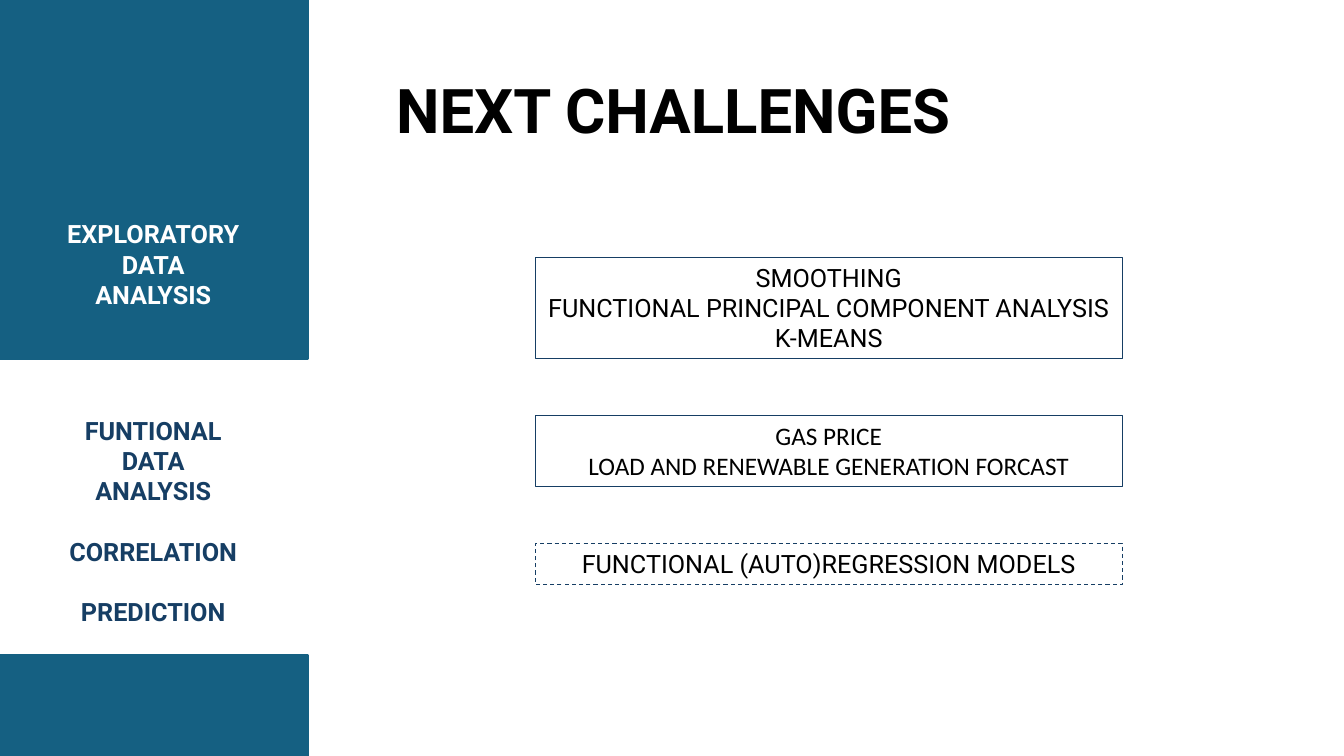
from pptx import Presentation
from pptx.dml.color import RGBColor
from pptx.enum.dml import MSO_LINE
from pptx.enum.shapes import MSO_SHAPE
from pptx.enum.text import MSO_ANCHOR as Anchor, PP_ALIGN as Align
from pptx.util import Emu, Pt

TITLE = "NEXT CHALLENGES"
DONE_TOPICS = ["EXPLORATORY DATA ANALYSIS"]
NEXT_TOPICS = ["FUNTIONAL DATA ANALYSIS", "CORRELATION", "PREDICTION"]
# top, lines, font key, dashed outline
CHALLENGES = [
    (255, ["SMOOTHING", "FUNCTIONAL PRINCIPAL COMPONENT ANALYSIS", "K-MEANS"], "font", False),
    (412, ["GAS PRICE", "LOAD AND RENEWABLE GENERATION FORCAST"], "alternate_font", False),
    (539, ["FUNCTIONAL (AUTO)REGRESSION MODELS"], "font", True),
]

THEME = {
    "font": "Roboto",
    "alternate_font": "Calibri",
    "band": RGBColor(0x15, 0x60, 0x82),
    "navy": RGBColor(0x16, 0x3E, 0x64),
    "white": RGBColor(0xFF, 0xFF, 0xFF),
    "black": RGBColor(0, 0, 0),
    "title_size": 44,
    "body_size": 18,
    "topic_gap": 21.5,
}

PX = 9144  # 100 px to the inch
SLIDE_WIDTH, SLIDE_HEIGHT = 1333, 750
BAND_WIDTH = 305
BANDS = [(0, 356), (650, 101)]  # top, height
TOPIC_LEFT, TOPIC_WIDTH = 52, 200
CHALLENGE_LEFT, CHALLENGE_WIDTH = 531, 582
LINE_HEIGHT, BOX_PADDING = 30, 11


def px(*lengths):
    return [Emu(length * PX) for length in lengths]


def write_text(shape, lines, size=THEME["body_size"], font=THEME["font"],
               color=THEME["black"], bold=False, align=Align.CENTER,
               anchor=Anchor.TOP, gap=0, line_spacing=None):
    frame = shape.text_frame
    frame.word_wrap = True
    frame.vertical_anchor = anchor
    for index, line in enumerate(lines):
        paragraph = frame.add_paragraph() if index else frame.paragraphs[0]
        paragraph.alignment = align
        if index and gap:
            paragraph.space_before = Pt(gap)
        if line_spacing:
            paragraph.line_spacing = line_spacing
        run = paragraph.add_run()
        run.text = line
        run.font.name = font
        run.font.size = Pt(size)
        run.font.bold = bold
        run.font.color.rgb = color


def add_box(slide, box, line_color, line_width, fill=None):
    shape = slide.shapes.add_shape(MSO_SHAPE.RECTANGLE, *px(*box))
    shape.shadow.inherit = False
    if fill is None:
        shape.fill.background()
    else:
        shape.fill.solid()
        shape.fill.fore_color.rgb = fill
    shape.line.color.rgb = line_color
    shape.line.width = Pt(line_width)
    return shape


def add_label(slide, box, lines, **text_format):
    write_text(slide.shapes.add_textbox(*px(*box)), lines, **text_format)


def main():
    presentation = Presentation()
    presentation.slide_width, presentation.slide_height = px(SLIDE_WIDTH, SLIDE_HEIGHT)
    slide = presentation.slides.add_slide(presentation.slide_layouts[6])

    for top, height in BANDS:
        add_box(slide, (0, top, BAND_WIDTH, height), THEME["band"], 1.5, THEME["band"])

    add_label(slide, (TOPIC_LEFT, 212, TOPIC_WIDTH, 101), DONE_TOPICS,
              color=THEME["white"], bold=True)
    add_label(slide, (TOPIC_LEFT, 407, TOPIC_WIDTH, 222), NEXT_TOPICS,
              color=THEME["navy"], bold=True, gap=THEME["topic_gap"])
    add_label(slide, (383, 40, 858, 145), [TITLE], size=THEME["title_size"], bold=True,
              align=Align.LEFT, anchor=Anchor.MIDDLE, line_spacing=0.9)

    for top, lines, font_key, dashed in CHALLENGES:
        height = BOX_PADDING + LINE_HEIGHT * len(lines)
        box = add_box(slide, (CHALLENGE_LEFT, top, CHALLENGE_WIDTH, height),
                      THEME["navy"], 0.75)
        if dashed:
            box.line.dash_style = MSO_LINE.DASH
        write_text(box, lines, font=THEME[font_key])

    presentation.save("out.pptx")


if __name__ == "__main__":
    main()
